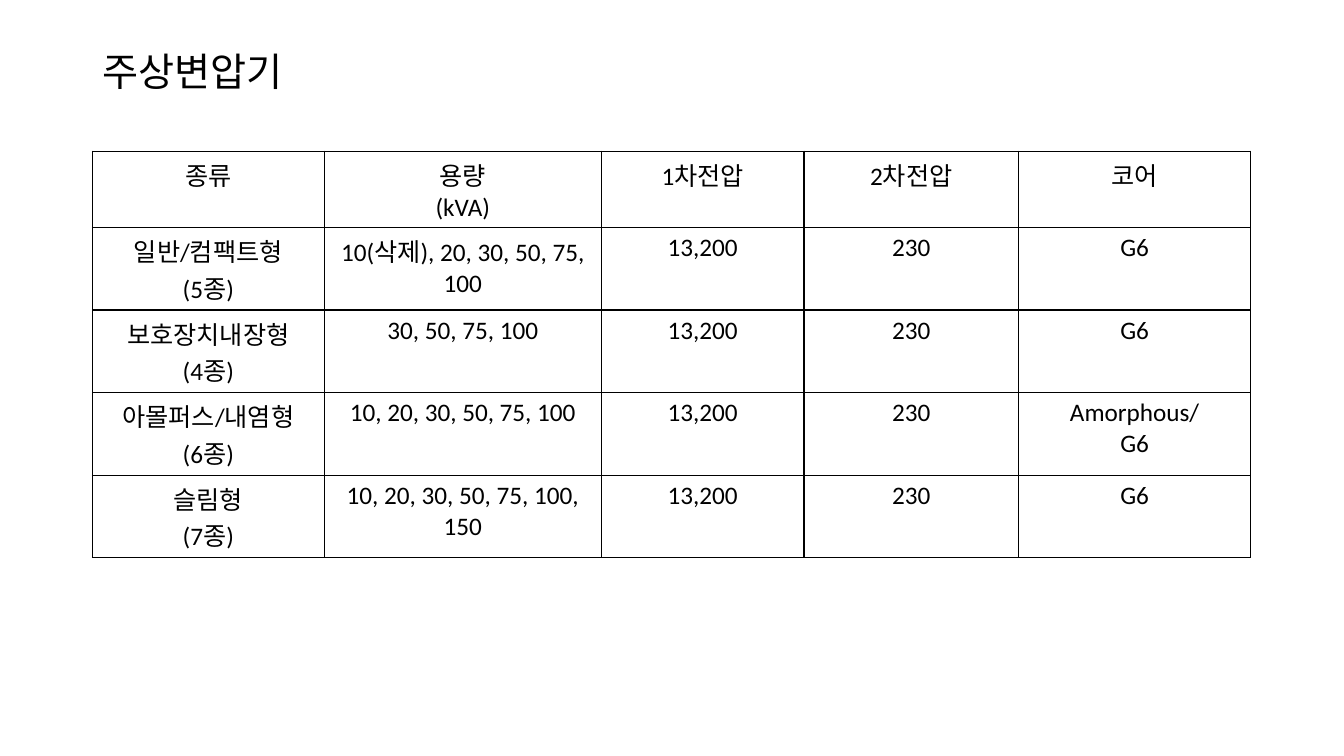
from lxml import etree
from pptx import Presentation
from pptx.dml.color import RGBColor
from pptx.enum.text import MSO_ANCHOR as ANCHOR, PP_ALIGN as ALIGN
from pptx.oxml.ns import qn
from pptx.util import Pt

TITLE = "주상변압기"
ROWS = [
    ("종류", "용량\n(kVA)", "1차전압", "2차전압", "코어"),
    ("일반/컴팩트형\n(5종)", "10(삭제), 20, 30, 50, 75, 100", "13,200", "230", "G6"),
    ("보호장치내장형\n(4종)", "30, 50, 75, 100", "13,200", "230", "G6"),
    ("아몰퍼스/내염형\n(6종)", "10, 20, 30, 50, 75, 100", "13,200", "230", "Amorphous/\nG6"),
    ("슬림형\n(7종)", "10, 20, 30, 50, 75, 100, 150", "13,200", "230", "G6"),
]
COL_WIDTHS = (165.6, 198, 144.7, 153.4, 165.6)
HEADER_HEIGHT, BODY_HEIGHT = 54.5, 59
LEFT, WIDTH = 66, 828
BLACK = RGBColor(0, 0, 0)
FONT = "Calibri"


def write(tf, text, size=18, align=ALIGN.CENTER, spacing=None):
    for i, line in enumerate(text.split("\n")):
        p = tf.paragraphs[0] if i == 0 else tf.add_paragraph()
        p.alignment = align
        p.line_spacing = spacing
        r = p.add_run()
        r.text = line
        r.font.name = FONT
        r.font.size = Pt(size)
        r.font.bold = False
        r.font.color.rgb = BLACK


def add_borders(cell):
    props = cell._tc.get_or_add_tcPr()
    for i, side in enumerate(("lnL", "lnR", "lnT", "lnB")):
        ln = etree.Element(qn(f"a:{side}"), w=str(Pt(1)))
        fill = etree.SubElement(ln, qn("a:solidFill"))
        etree.SubElement(fill, qn("a:srgbClr"), val=str(BLACK))
        props.insert(i, ln)


def main():
    prs = Presentation()
    prs.slide_width, prs.slide_height = Pt(960), Pt(540)
    s = prs.slides.add_slide(prs.slide_layouts[6])

    tf = s.shapes.add_textbox(Pt(LEFT), Pt(24.5), Pt(WIDTH), Pt(57)).text_frame
    tf.word_wrap = True
    tf.vertical_anchor = ANCHOR.MIDDLE
    write(tf, TITLE, size=28, align=ALIGN.LEFT, spacing=0.9)

    heights = [HEADER_HEIGHT] + [BODY_HEIGHT] * (len(ROWS) - 1)
    table = s.shapes.add_table(len(ROWS), len(COL_WIDTHS), Pt(LEFT), Pt(108),
                               Pt(WIDTH), Pt(sum(heights))).table
    table.first_row = table.horz_banding = False
    for column, width in zip(table.columns, COL_WIDTHS):
        column.width = Pt(width)
    for row, height, texts in zip(table.rows, heights, ROWS):
        row.height = Pt(height)
        for cell, text in zip(row.cells, texts):
            cell.fill.background()
            add_borders(cell)
            write(cell.text_frame, text)

    prs.save("out.pptx")


if __name__ == "__main__":
    main()
